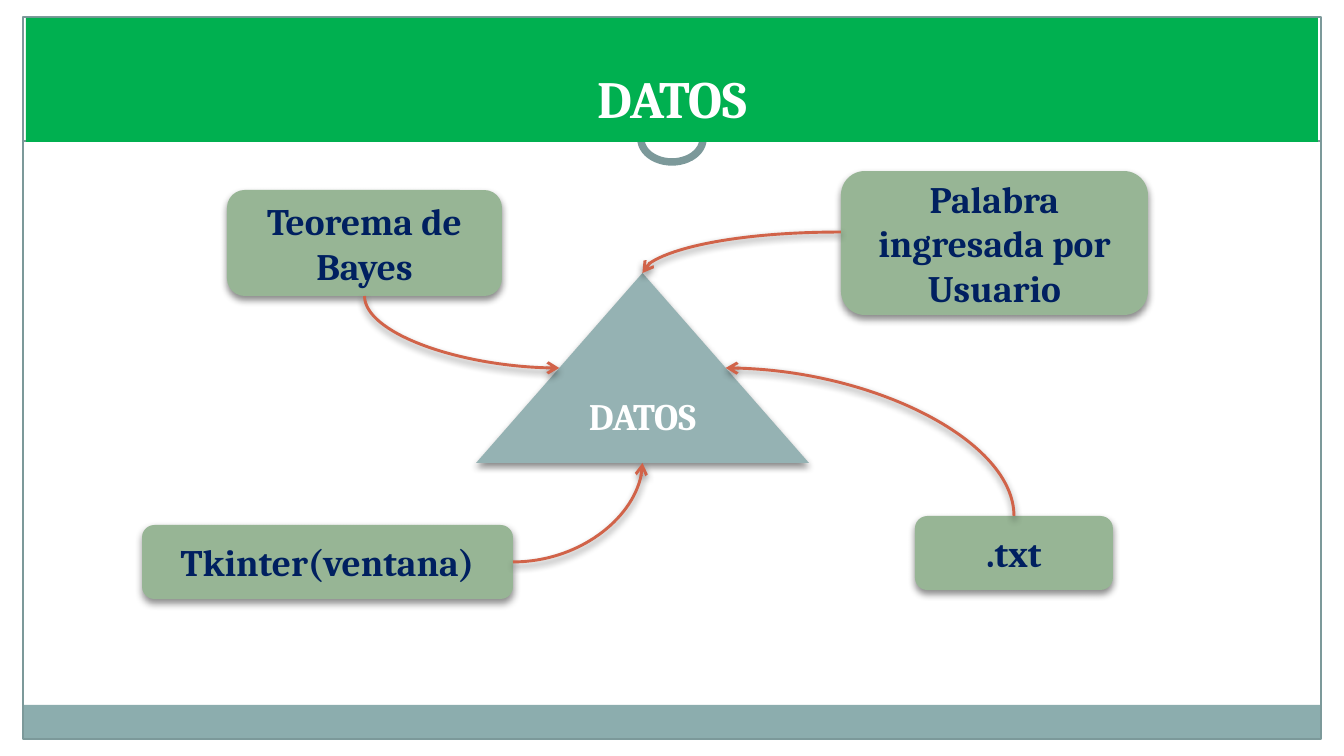
from lxml.etree import SubElement
from pptx import Presentation
from pptx.dml.color import RGBColor
from pptx.enum.dml import MSO_LINE
from pptx.enum.shapes import MSO_CONNECTOR, MSO_SHAPE
from pptx.enum.text import MSO_ANCHOR, PP_ALIGN
from pptx.oxml.ns import qn
from pptx.util import Pt

PX = 914400 / 134.4
GREEN, SAGE, TEAL, BAR, RULE = "00B050", "97B595", "95B2B3", "8CADAE", "7C999A"
WHITE, NAVY, RUST = "FFFFFF", "002060", "D16349"


def emu(px):
    """Turn px into EMU."""
    return round(px * PX)


def paint(colour_format, colour):
    """Give a fill or line colour its hex value."""
    colour_format.rgb = RGBColor.from_string(colour)


def add_shadow(part):
    """Give a shape or connector the soft shadow below it."""
    effects = SubElement(part.element.spPr, qn("a:effectLst"))
    shadow = SubElement(effects, qn("a:outerShdw"), blurRad=str(Pt(4)),
                        dist=str(Pt(2)), dir="5400000", rotWithShape="0")
    black = SubElement(shadow, qn("a:srgbClr"), val="000000")
    SubElement(black, qn("a:alpha"), val="45000")


def add_block(slide, kind, box, fill=None, line=None, width=0.75, shadow=False):
    """Place a preset shape in a px box."""
    block = slide.shapes.add_shape(kind, *map(emu, box))
    if fill:
        block.fill.solid()
        paint(block.fill.fore_color, fill)
    else:
        block.fill.background()
    if line:
        paint(block.line.color, line)
        block.line.width = Pt(width)
    else:
        block.line.fill.background()
    if shadow:
        add_shadow(block)
    else:
        block.shadow.inherit = False
    return block


def write(block, text, size=20, colour=NAVY, anchor=MSO_ANCHOR.MIDDLE):
    """Write bold centred text in a shape."""
    frame = block.text_frame
    frame.word_wrap = True
    frame.vertical_anchor = anchor
    paragraph = frame.paragraphs[0]
    paragraph.alignment = PP_ALIGN.CENTER
    run = paragraph.add_run()
    run.text = text
    run.font.name, run.font.size, run.font.bold = "Cambria", Pt(size), True
    paint(run.font.color, colour)


def add_curve(slide, start, end, vertical_start=False):
    """Draw a quarter-curve arrow that leaves its start across or down."""
    (x1, y1), (x2, y2) = start, end
    if vertical_start:
        cx, cy = (x1 + x2) / 2, (y1 + y2) / 2
        half_x, half_y = (y1 - y2) / 2, (x2 - x1) / 2
        x1, y1, x2, y2 = cx - half_x, cy - half_y, cx + half_x, cy + half_y
    curve = slide.shapes.add_connector(MSO_CONNECTOR.CURVE, *map(emu, (x1, y1, x2, y2)))
    properties = curve.element.spPr
    properties.find(qn("a:prstGeom")).set("prst", "curvedConnector2")
    if vertical_start:
        properties.find(qn("a:xfrm")).set("rot", "16200000")
    paint(curve.line.color, RUST)
    curve.line.width = Pt(1.57)
    SubElement(properties.find(qn("a:ln")), qn("a:tailEnd"), type="arrow")
    add_shadow(curve)


def add_frame(slide, box):
    """Draw the footer bar, the border, the header rule and its ring."""
    left, top, width, height = box
    bar_height, rule_y, ring_w, ring_h = 34, top + 124, 62, 46
    add_block(slide, MSO_SHAPE.RECTANGLE,
              (left, top + height - bar_height, width, bar_height), BAR)
    add_block(slide, MSO_SHAPE.RECTANGLE, box, line=RULE)
    rule = slide.shapes.add_connector(
        MSO_CONNECTOR.STRAIGHT, *map(emu, (left, rule_y, left + width, rule_y)))
    paint(rule.line.color, RULE)
    rule.line.width = Pt(0.75)
    rule.line.dash_style = MSO_LINE.SQUARE_DOT
    SubElement(rule.element.spPr, qn("a:effectLst"))
    add_block(slide, MSO_SHAPE.OVAL,
              (left + (width - ring_w) / 2, top + 99, ring_w, ring_h), WHITE, RULE, 4)


def add_title(slide, box):
    """Place the green title band."""
    band = add_block(slide, MSO_SHAPE.RECTANGLE, box, GREEN)
    frame = band.text_frame
    frame.margin_left = frame.margin_right = emu(13)
    frame.margin_top = frame.margin_bottom = emu(13)
    write(band, "DATOS", size=28, colour=WHITE, anchor=MSO_ANCHOR.BOTTOM)


def add_diagram(slide, box):
    """Place the data triangle, its four sources and their arrows."""
    left, top = box[:2]

    def source(text, x, y, width, height):
        """Place one source and return its middles: top, left, bottom, right."""
        x, y = left + x, top + y
        block = add_block(slide, MSO_SHAPE.FLOWCHART_ALTERNATE_PROCESS,
                          (x, y, width, height), SAGE, shadow=True)
        write(block, text)
        cx, cy = x + width / 2, y + height / 2
        return (cx, y), (x, cy), (cx, y + height), (x + width, cy)

    x, y, width, height = left + 334, top + 102, 333, 190
    triangle = add_block(slide, MSO_SHAPE.FLOWCHART_EXTRACT, (x, y, width, height),
                         TEAL, shadow=True)
    write(triangle, "DATOS", colour=WHITE)
    apex, base = (x + width / 2, y), (x + width / 2, y + height)
    left_side, right_side = ((x + width * part, y + height / 2) for part in (0.25, 0.75))

    bayes = source("Teorema de Bayes", 85, 19, 275, 106)
    word = source("Palabra ingresada por Usuario", 699, 0, 307, 144)
    window = source("Tkinter(ventana)", 0, 354, 371, 74)
    txt = source(".txt", 773, 345, 198, 74)

    add_curve(slide, bayes[2], left_side, vertical_start=True)
    add_curve(slide, window[3], base)
    add_curve(slide, txt[0], right_side, vertical_start=True)
    add_curve(slide, (word[1][0], top + 61), apex)


def main():
    """Build the slide and save it."""
    deck = Presentation()
    deck.slide_width, deck.slide_height = emu(1344), emu(756)
    slide = deck.slides.add_slide(deck.slide_layouts[6])
    add_frame(slide, (23, 17, 1298, 722))
    add_diagram(slide, (142, 171, 1006, 428))
    add_title(slide, (26, 18, 1292, 124))
    deck.save("out.pptx")


if __name__ == "__main__":
    main()
